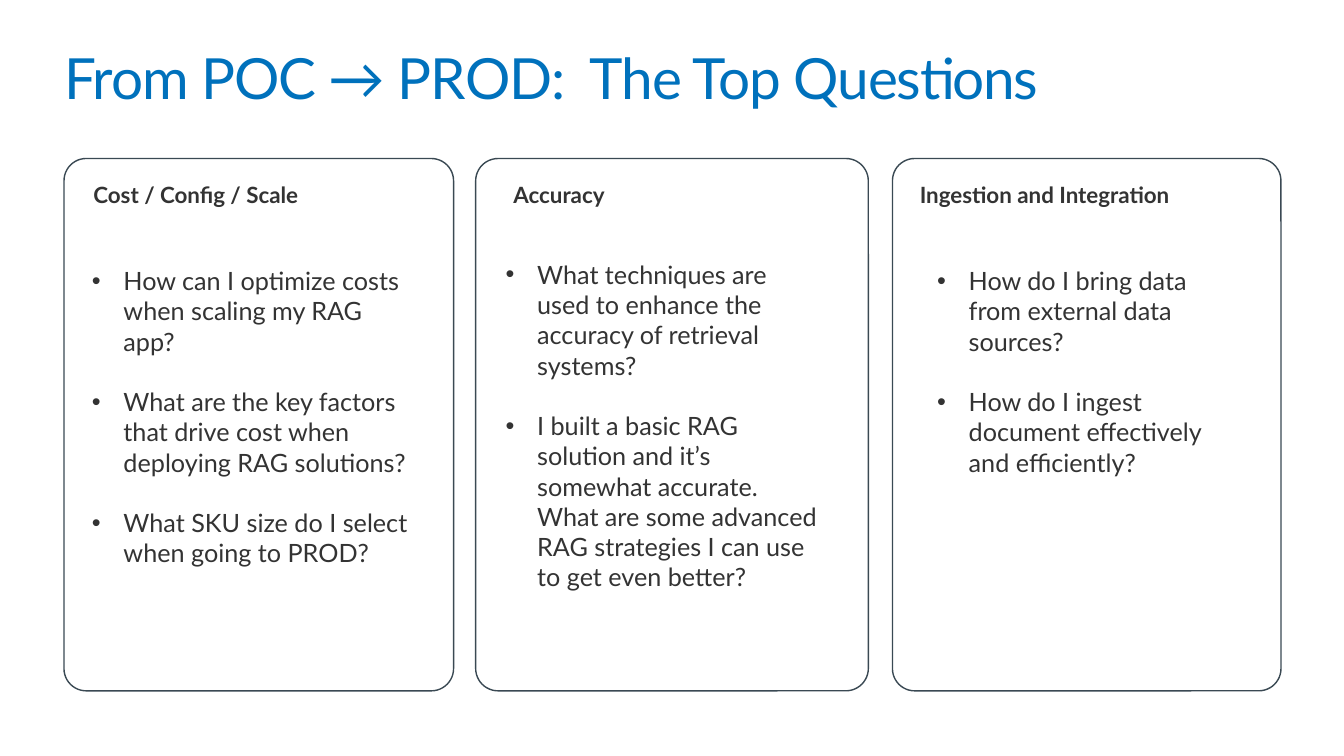
"""Build the slide on the top questions from POC to PROD."""
from lxml.etree import SubElement
from pptx import Presentation
from pptx.dml.color import RGBColor
from pptx.enum.shapes import MSO_SHAPE
from pptx.enum.text import MSO_ANCHOR, MSO_AUTO_SIZE, PP_ALIGN
from pptx.oxml.ns import qn
from pptx.util import Pt

PX = 9525
COLORS = {"title": "0071BC", "text": "333333", "outline": "3A4953"}
CARD_TOP, CARD_HEIGHT = 151, 507
HEADING_TOP, HEADING_HEIGHT = 170, 33
COLUMNS = [
    {"heading": "Cost / Config / Scale",
     "card": (61, 371), "heading_span": (89, 315), "list_box": (78, 248, 326, 300),
     "questions": ["How can I optimize costs when scaling my RAG app?",
                   "What are the key factors that drive cost when deploying RAG solutions?",
                   "What SKU size do I select when going to PROD?"]},
    {"heading": "Accuracy",
     "card": (453, 374), "heading_span": (489, 323), "list_box": (472, 242, 322, 329),
     "questions": ["What techniques are used to enhance the accuracy of retrieval systems?",
                   "I built a basic RAG solution and it’s somewhat accurate. "
                   "What are some advanced RAG strategies I can use to get even better?"]},
    {"heading": "Ingestion and Integration",
     "card": (850, 370), "heading_span": (876, 315), "list_box": (883, 248, 301, 213),
     "questions": ["How do I bring data from external data sources?",
                   "How do I ingest document effectively and efficiently?"]},
]


def place(shape, left, top, width, height):
    shape.left, shape.top = left * PX, top * PX
    shape.width, shape.height = width * PX, height * PX


def style(paragraph, size, color, bold=False, spacing=1.0):
    paragraph.alignment = PP_ALIGN.LEFT
    paragraph.line_spacing = spacing
    font = paragraph.font
    font.name, font.size, font.bold = "Lato", Pt(size), bold
    font.color.rgb = RGBColor.from_string(COLORS[color])


presentation = Presentation()
presentation.slide_width, presentation.slide_height = 1280 * PX, 720 * PX
slide = presentation.slides.add_slide(presentation.slide_layouts.get_by_name("Comparison"))

title = slide.shapes.title
place(title, 61, 48, 1157, 58)
title_frame = title.text_frame
title_frame.text = "From POC → PROD:  The Top Questions"
title_frame.margin_left = title_frame.margin_right = 0
title_frame.margin_top = title_frame.margin_bottom = 0
title_frame.vertical_anchor = MSO_ANCHOR.TOP
title_frame.auto_size = MSO_AUTO_SIZE.NONE
style(title_frame.paragraphs[0], 40.5, "title", spacing=0.9)
title_frame.paragraphs[0].runs[0].font._element.set("spc", "-80")

bodies = [shape for shape in slide.placeholders if shape.placeholder_format.idx in range(1, 5)]
spare_body = bodies.pop()
spare_body._element.getparent().remove(spare_body._element)

for column, body in zip(COLUMNS, bodies):
    card_left, card_width = column["card"]
    card = slide.shapes.add_shape(MSO_SHAPE.ROUNDED_RECTANGLE, card_left * PX, CARD_TOP * PX,
                                  card_width * PX, CARD_HEIGHT * PX)
    card.adjustments[0] = 0.057
    card.shadow.inherit = False
    card.fill.background()
    card.line.color.rgb = RGBColor.from_string(COLORS["outline"])
    card.line.width = Pt(1)

    heading_left, heading_width = column["heading_span"]
    heading = slide.shapes.add_textbox(heading_left * PX, HEADING_TOP * PX,
                                       heading_width * PX, HEADING_HEIGHT * PX)
    heading_frame = heading.text_frame
    heading_frame.word_wrap = True
    heading_frame.margin_left = heading_frame.margin_right = 0
    heading_frame.margin_top = heading_frame.margin_bottom = 0
    heading_frame.vertical_anchor = MSO_ANCHOR.MIDDLE
    heading_frame.text = column["heading"]
    style(heading_frame.paragraphs[0], 16, "text", bold=True, spacing=0.9)

    place(body, *column["list_box"])
    body_frame = body.text_frame
    body_frame.vertical_anchor = MSO_ANCHOR.TOP
    body_frame.auto_size = MSO_AUTO_SIZE.NONE
    body_frame.text = "\n".join(column["questions"])
    for number, paragraph in enumerate(body_frame.paragraphs):
        properties = paragraph._p.get_or_add_pPr()
        properties.set("marL", str(30 * PX))
        properties.set("indent", str(-30 * PX))
        SubElement(properties, qn("a:buFont"), typeface="Arial")
        SubElement(properties, qn("a:buChar"), char="•")
        paragraph.space_before = Pt(21.6 if number else 0)
        style(paragraph, 18, "text")

presentation.save("out.pptx")
